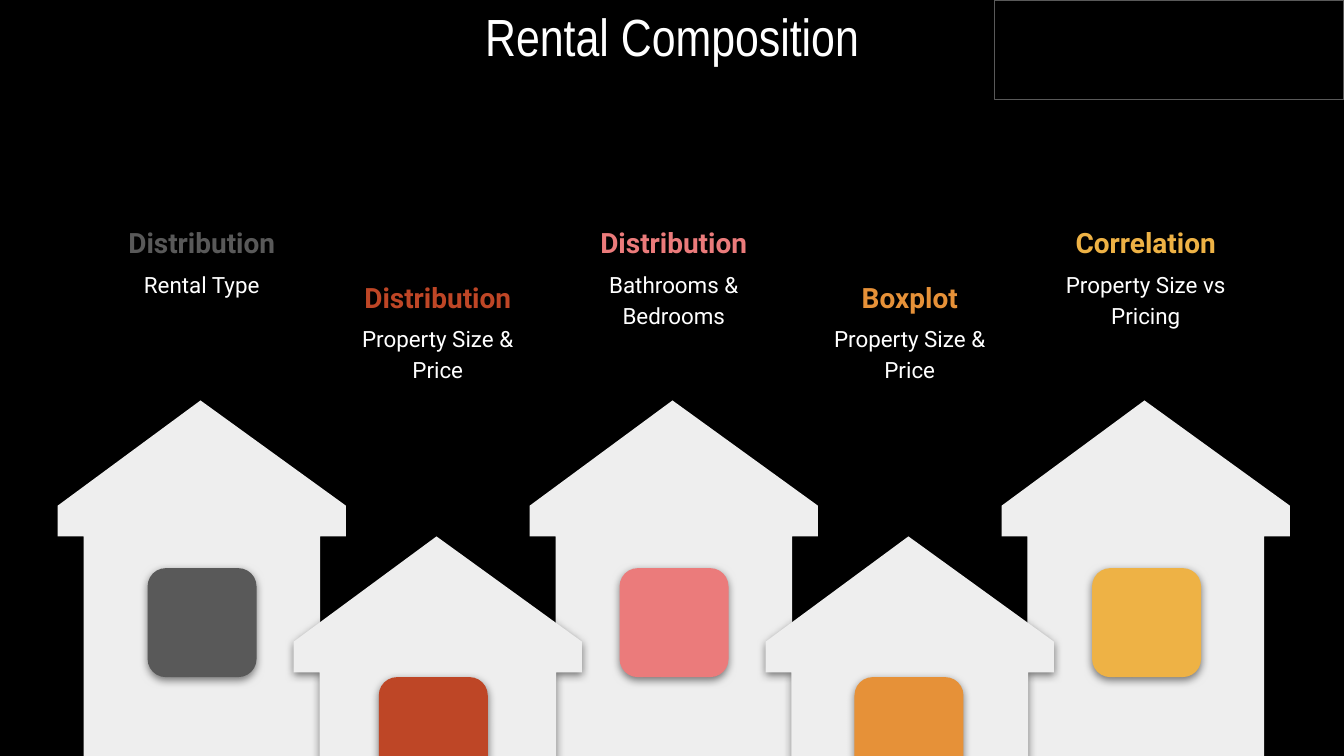
"""Build the Rental Composition slide: five houses with captions."""
from dataclasses import dataclass

import pptx
import pptx.dml.color
import pptx.enum.shapes
import pptx.enum.text
import pptx.oxml
import pptx.oxml.ns
import pptx.util
from lxml import etree

Cm = pptx.util.Cm
Pt = pptx.util.Pt
RGBColor = pptx.dml.color.RGBColor
Shape = pptx.enum.shapes.MSO_SHAPE

BLACK = RGBColor(0x00, 0x00, 0x00)
WHITE = RGBColor(0xFF, 0xFF, 0xFF)
WALL = RGBColor(0xEE, 0xEE, 0xEE)
GRAY = RGBColor(0x59, 0x59, 0x59)
RUST = RGBColor(0xBE, 0x46, 0x26)
PINK = RGBColor(0xEB, 0x7B, 0x7B)
ORANGE = RGBColor(0xE6, 0x91, 0x38)
YELLOW = RGBColor(0xEE, 0xB2, 0x45)

HOUSE_STEP = 4.46
FIRST_APEX = 3.79
FIRST_CAPTION = 1.68
CAPTION_WIDTH = 4.27
WINDOW_SIZE = 2.06


@dataclass(frozen=True)
class Size:
    roof_top: float
    height: float
    window_top: float
    heading_top: float
    detail_top: float


@dataclass(frozen=True)
class House:
    heading: str
    detail: str
    color: RGBColor
    size: Size
    window_left: float


TALL = Size(7.57, 8.81, 10.74, 3.91, 4.8)
SHORT = Size(10.14, 5.71, 12.8, 4.95, 5.82)

HOUSES = [
    House("Distribution", "Rental Type", GRAY, TALL, 2.79),
    House("Distribution", "Property Size & Price", RUST, SHORT, 7.16),
    House("Distribution", "Bathrooms & Bedrooms", PINK, TALL, 11.71),
    House("Boxplot", "Property Size & Price", ORANGE, SHORT, 16.15),
    House("Correlation", "Property Size vs Pricing", YELLOW, TALL, 20.64),
]


def add_shadow(shape) -> None:
    """Give a shape a soft shadow falling straight down."""
    shape.shadow.inherit = False
    effects = shape._element.spPr.find(pptx.oxml.ns.qn("a:effectLst"))
    shadow = etree.SubElement(
        effects, pptx.oxml.ns.qn("a:outerShdw"), blurRad=str(Pt(4.5)),
        dist=str(Pt(1.5)), dir="5400000", algn="bl", rotWithShape="0")
    color = etree.SubElement(shadow, pptx.oxml.ns.qn("a:srgbClr"), val=str(BLACK))
    etree.SubElement(color, pptx.oxml.ns.qn("a:alpha"), val="50000")


def paint(shape, color: RGBColor) -> None:
    """Fill a shape, drop its outline and add its shadow."""
    shape.fill.solid()
    shape.fill.fore_color.rgb = color
    shape.line.fill.background()
    add_shadow(shape)


def add_text(slide, text: str, left: float, top: float, width: float, height: float,
             font_name: str, size: float, color: RGBColor, bold: bool = False):
    """Add a centred one-paragraph text box and return it."""
    box = slide.shapes.add_textbox(Cm(left), Cm(top), Cm(width), Cm(height))
    frame = box.text_frame
    frame.word_wrap = True
    frame.margin_left = frame.margin_right = Cm(0.25)
    frame.margin_top = frame.margin_bottom = Cm(0.25)
    paragraph = frame.paragraphs[0]
    paragraph.text = text
    paragraph.alignment = pptx.enum.text.PP_ALIGN.CENTER
    paragraph.font.name = font_name
    paragraph.font.size = Pt(size)
    paragraph.font.bold = bold
    paragraph.font.color.rgb = color
    return box


def add_caption(slide, text: str, left: float, top: float, height: float,
                size: float, color: RGBColor, bold: bool = False) -> None:
    """Add a caption line above a house."""
    box = add_text(slide, text, left, top, CAPTION_WIDTH, height,
                   "Roboto", size, color, bold)
    paragraph = box.text_frame.paragraphs[0]
    paragraph.line_spacing = 1.15
    paragraph.space_after = Pt(16)


def add_house(slide, house: House, apex: float) -> None:
    """Draw a house outline and its window as one group."""
    group = slide.shapes.add_group_shape()
    offsets = [(0, 0), (-2.7, 1.99), (-2.7, 2.57), (-2.21, 2.57),
               (-2.21, house.size.height), (2.26, house.size.height),
               (2.26, 2.57), (2.75, 2.57), (2.75, 1.99)]
    points = [(Cm(apex + x), Cm(house.size.roof_top + y)) for x, y in offsets]
    builder = group.shapes.build_freeform(*points[0])
    builder.add_line_segments(points[1:], close=True)
    paint(builder.convert_to_shape(), WALL)
    window = group.shapes.add_shape(
        Shape.ROUNDED_RECTANGLE, Cm(house.window_left), Cm(house.size.window_top),
        Cm(WINDOW_SIZE), Cm(WINDOW_SIZE))
    window.adjustments[0] = 0.167
    paint(window, house.color)


def main() -> None:
    """Create the presentation and save it."""
    presentation = pptx.Presentation()
    presentation.slide_width = Cm(25.4)
    presentation.slide_height = Cm(14.29)
    slide = presentation.slides.add_slide(presentation.slide_layouts[6])
    slide.background.fill.solid()
    slide.background.fill.fore_color.rgb = BLACK

    title = add_text(slide, "Rental Composition", 7.24, 0, 10.92, 1.35,
                     "Arial Narrow", 28, WHITE)
    title.text_frame.vertical_anchor = pptx.enum.text.MSO_ANCHOR.MIDDLE

    placed = list(enumerate(HOUSES))
    for index, house in sorted(placed, key=lambda item: item[1].size.roof_top):
        add_house(slide, house, FIRST_APEX + index * HOUSE_STEP)
    for index, house in placed:
        left = FIRST_CAPTION + index * HOUSE_STEP
        add_caption(slide, house.detail, left, house.size.detail_top, 1.45, 12, WHITE)
        add_caption(slide, house.heading, left, house.size.heading_top, 1.02, 15,
                    house.color, bold=True)

    frame = slide.shapes.add_shape(Shape.RECTANGLE, Cm(18.8), Cm(0), Cm(6.6), Cm(1.88))
    frame.shadow.inherit = False
    frame.fill.background()
    frame.line.color.rgb = GRAY
    frame.line.width = Pt(0.75)

    presentation.save("out.pptx")


if __name__ == "__main__":
    main()
